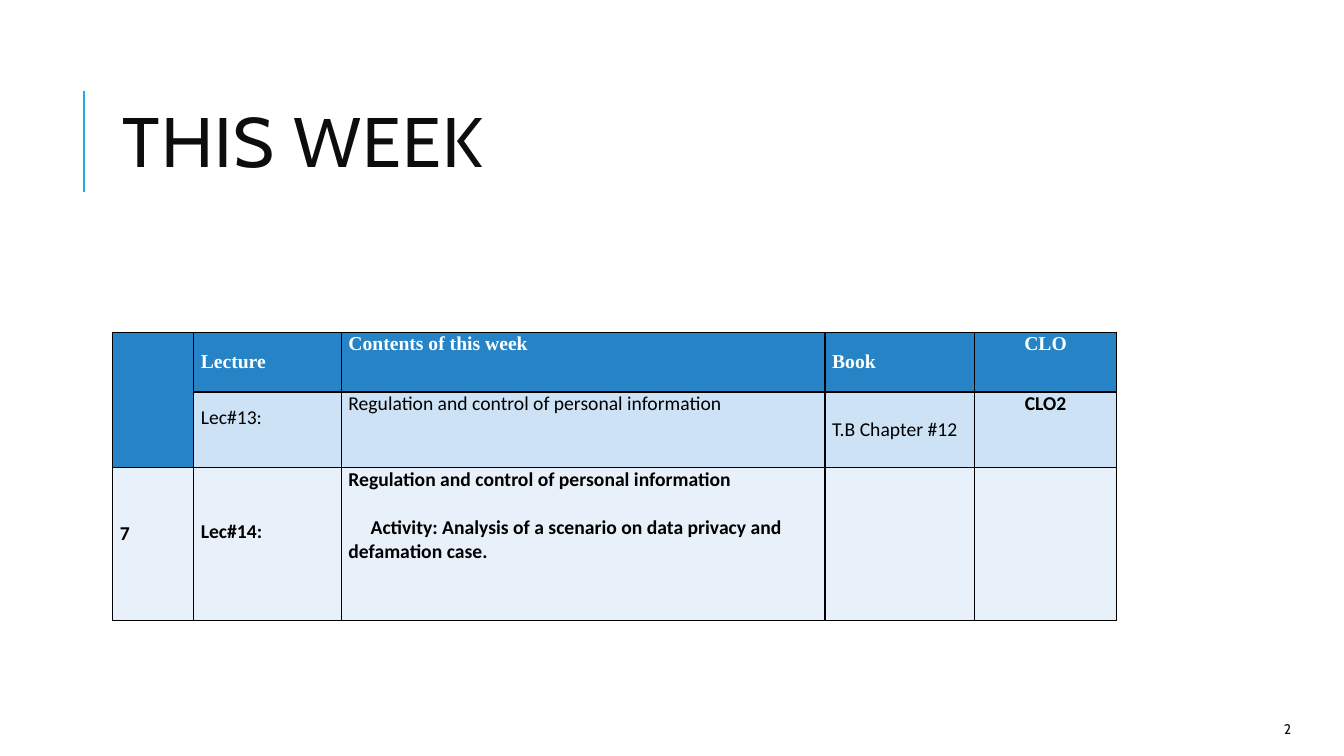
from lxml import etree
from pptx import Presentation
from pptx import util as u
from pptx.dml.color import RGBColor
from pptx.enum import shapes, text
from pptx.oxml import ns

COLORS = {"accent": "1CADE4", "ink": "0D0D0D", "header": "2683C6", "band": "CDE3F5",
          "pale": "E8F1FA", "black": "000000", "white": "FFFFFF"}
TITLE = "THIS WEEK"
PAGE_NUMBER = "2"
TOPIC = "Regulation and control of personal information"
ACTIVITY = "Activity: Analysis of a scenario on data privacy and defamation case."
ROWS = [
    [[], ["Lecture"], ["Contents of this week"], ["Book"], ["CLO"]],
    [[], ["Lec#13:"], [TOPIC], ["T.B Chapter #12"], ["CLO2"]],
    [["7"], ["Lec#14:"], [TOPIC, ACTIVITY], [], []],
]
ROW_STYLES = [("header", "white", "Times New Roman"),
              ("band", "black", "Calibri"), ("pale", "black", "Calibri")]
BOLD_CELLS = {(0, 1), (0, 2), (0, 3), (0, 4), (1, 4), (2, 0), (2, 1), (2, 2)}
COLUMN_WIDTHS = [2.04, 3.72, 12.19, 3.77, 3.58]
ROW_HEIGHTS = [1.5, 1.91, 3.84]
CONTENTS, CLO = 2, 4
BOTTOM_MARGINS = {(1, 1): 0.6, (2, 1): 0.6, (2, 0): 0.5}


def color(name):
    return RGBColor.from_string(COLORS[name])


def add_run(paragraph, words, size, font, ink, bold=False):
    run = paragraph.add_run()
    run.text = words
    run.font.size = u.Pt(size)
    run.font.name = font
    run.font.bold = bold
    run.font.color.rgb = color(ink)
    return run


def add_label(slide, words, box, size, align):
    shape = slide.shapes.add_textbox(*(u.Cm(length) for length in box))
    frame = shape.text_frame
    frame.word_wrap = True
    frame.vertical_anchor = text.MSO_ANCHOR.MIDDLE
    paragraph = frame.paragraphs[0]
    paragraph.alignment = align
    return paragraph, add_run(paragraph, words, size, "Cabin", "ink")


def add_borders(cell):
    """Draw a thin black line on all four sides; call before the cell is filled."""
    properties = cell._tc.get_or_add_tcPr()
    for side in ("a:lnL", "a:lnR", "a:lnT", "a:lnB"):
        line = etree.SubElement(properties, ns.qn(side), w=str(u.Pt(1)))
        fill = etree.SubElement(line, ns.qn("a:solidFill"))
        etree.SubElement(fill, ns.qn("a:srgbClr"), val=COLORS["black"])


def fill_cell(cell, row, column):
    background, ink, font = ROW_STYLES[row]
    add_borders(cell)
    cell.fill.solid()
    cell.fill.fore_color.rgb = color(background)
    cell.margin_left = cell.margin_right = u.Cm(0.18)
    cell.margin_top = 0
    cell.margin_bottom = u.Cm(BOTTOM_MARGINS.get((row, column), 0))
    at_top = column in (CONTENTS, CLO)
    cell.vertical_anchor = text.MSO_ANCHOR.TOP if at_top else text.MSO_ANCHOR.MIDDLE
    frame = cell.text_frame
    for index, words in enumerate(ROWS[row][column]):
        paragraph = frame.add_paragraph() if index else frame.paragraphs[0]
        paragraph.alignment = text.PP_ALIGN.CENTER if column == CLO else text.PP_ALIGN.LEFT
        if index:
            paragraph.space_before = u.Pt(17)
            paragraph._p.get_or_add_pPr().set("indent", str(u.Cm(0.56)))
        add_run(paragraph, words, 14, font, ink, (row, column) in BOLD_CELLS)


def add_schedule(slide):
    frame = slide.shapes.add_table(
        len(ROW_HEIGHTS), len(COLUMN_WIDTHS), u.Cm(2.84), u.Cm(8.38),
        u.Cm(sum(COLUMN_WIDTHS)), u.Cm(sum(ROW_HEIGHTS)))
    table = frame.table
    table.first_row = table.horz_banding = False
    for column, width in zip(table.columns, COLUMN_WIDTHS):
        column.width = u.Cm(width)
    for row, height in zip(table.rows, ROW_HEIGHTS):
        row.height = u.Cm(height)
    for row in range(len(ROW_HEIGHTS)):
        for column in range(len(COLUMN_WIDTHS)):
            fill_cell(table.cell(row, column), row, column)
    table.cell(0, 0).merge(table.cell(1, 0))


def main():
    presentation = Presentation()
    presentation.slide_width, presentation.slide_height = u.Cm(33.87), u.Cm(19.05)
    slide = presentation.slides.add_slide(presentation.slide_layouts[6])

    rule = slide.shapes.add_connector(
        shapes.MSO_CONNECTOR.STRAIGHT, u.Cm(2.12), u.Cm(4.83), u.Cm(2.12), u.Cm(2.29))
    rule.line.color.rgb = color("accent")
    rule.line.width = u.Pt(1.5)
    etree.SubElement(rule._element.spPr, ns.qn("a:effectLst"))

    paragraph, run = add_label(slide, TITLE, (2.84, 1.63, 27, 4.17), 50, text.PP_ALIGN.LEFT)
    paragraph.line_spacing = 0.8
    run.font._element.set("spc", "100")
    add_label(slide, PAGE_NUMBER, (30.1, 17.98, 2.69, 0.76), 10, text.PP_ALIGN.RIGHT)
    add_schedule(slide)
    presentation.save("out.pptx")


if __name__ == "__main__":
    main()
